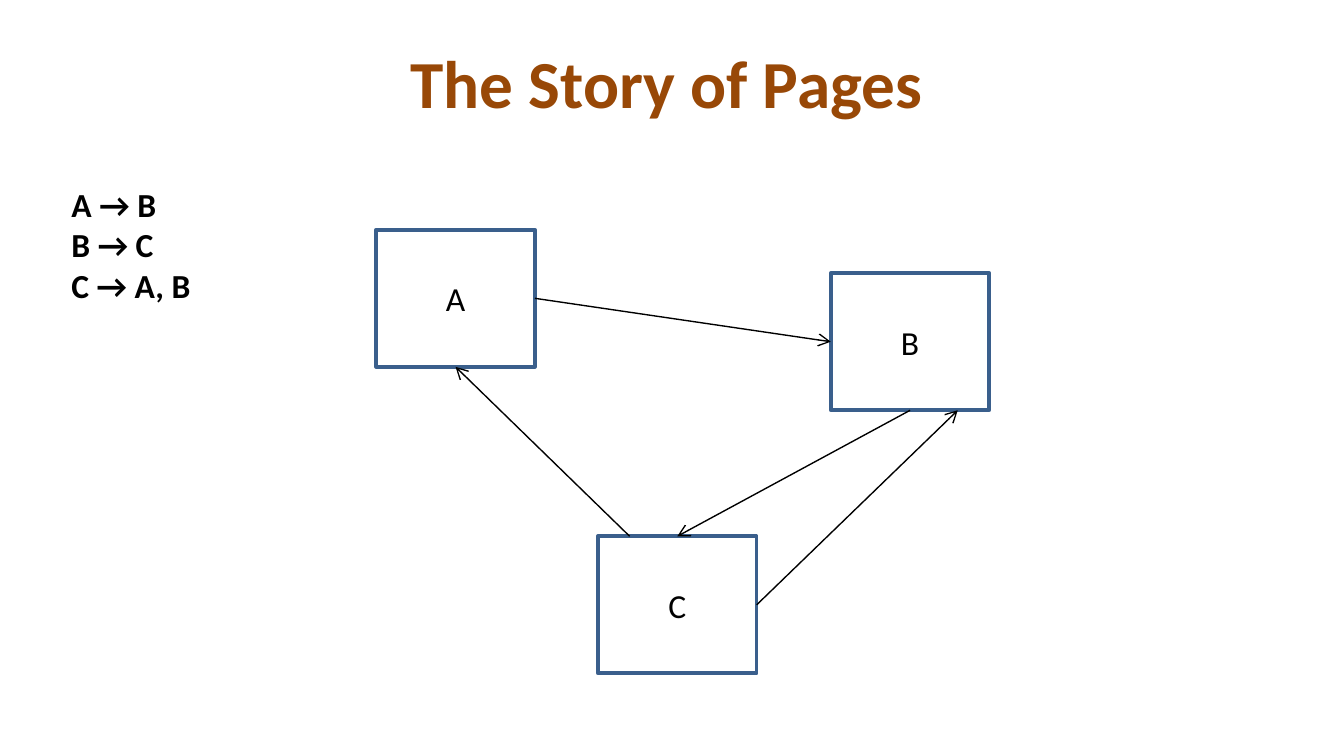
from pptx import Presentation
from pptx.dml.color import RGBColor
from pptx.enum.shapes import MSO_CONNECTOR as CONN, MSO_SHAPE as SHAPE
from pptx.enum.text import MSO_ANCHOR as ANCHOR, PP_ALIGN as ALIGN
from pptx.oxml.ns import qn
from pptx.util import Cm, Pt
from lxml.etree import SubElement

# Content (lengths in cm)
TITLE = "The Story of Pages"
LINKS = ["A → B", "B → C", "C → A, B"]
PAGE_W, PAGE_H = 3, 2.59
PAGES = {"A": (7.11, 4.34), "B": (15.7, 5.16), "C": (11.3, 10.13)}
# Each end: page, then the point on it as fractions of its width and height
ARROWS = [
    (("A", 1, 0.5), ("B", 0, 0.5)),
    (("B", 0.5, 1), ("C", 0.5, 0)),
    (("C", 0.2, 0), ("A", 0.5, 1)),
    (("C", 1, 0.5), ("B", 0.8, 1)),
]


def color(value):
    return RGBColor.from_string(value)


def write(sp, lines, size, ink="000000", bold=False, align=ALIGN.LEFT,
          anchor=ANCHOR.TOP):
    tf = sp.text_frame
    tf.word_wrap = True
    tf.vertical_anchor = anchor
    tf.text = "\n".join(lines)
    for p in tf.paragraphs:
        p.alignment = align
        p.font.name, p.font.size, p.font.bold = "Calibri", Pt(size), bold
        p.font.color.rgb = color(ink)


def point(page, fx, fy):
    x, y = PAGES[page]
    return Cm(x + fx * PAGE_W), Cm(y + fy * PAGE_H)


prs = Presentation()
prs.slide_width, prs.slide_height = Cm(25.4), Cm(14.28)
s = prs.slides.add_slide(prs.slide_layouts[6])

# Title and list of links
title = s.shapes.add_textbox(Cm(0.5), Cm(0.36), Cm(24.2), Cm(2.38))
write(title, [TITLE], 36, "984807", True, ALIGN.CENTER, ANCHOR.MIDDLE)
links = s.shapes.add_textbox(Cm(1.1), Cm(3.35), Cm(7), Cm(2.57))
write(links, LINKS, 18, bold=True)

# Pages
for name, (x, y) in PAGES.items():
    sp = s.shapes.add_shape(SHAPE.RECTANGLE, Cm(x), Cm(y), Cm(PAGE_W), Cm(PAGE_H))
    sp.shadow.inherit = False
    sp.fill.solid()
    sp.fill.fore_color.rgb = color("FFFFFF")
    sp.line.color.rgb = color("3A5F8C")
    sp.line.width = Pt(2)
    write(sp, [name], 18, align=ALIGN.CENTER, anchor=ANCHOR.MIDDLE)

# Arrows between pages
for start, end in ARROWS:
    arrow = s.shapes.add_connector(CONN.STRAIGHT, *point(*start), *point(*end))
    arrow.line.color.rgb = color("000000")
    arrow.line.width = Pt(0.75)
    SubElement(arrow.line._get_or_add_ln(), qn("a:tailEnd"), type="arrow")
    SubElement(arrow._element.spPr, qn("a:effectLst"))

prs.save("out.pptx")
